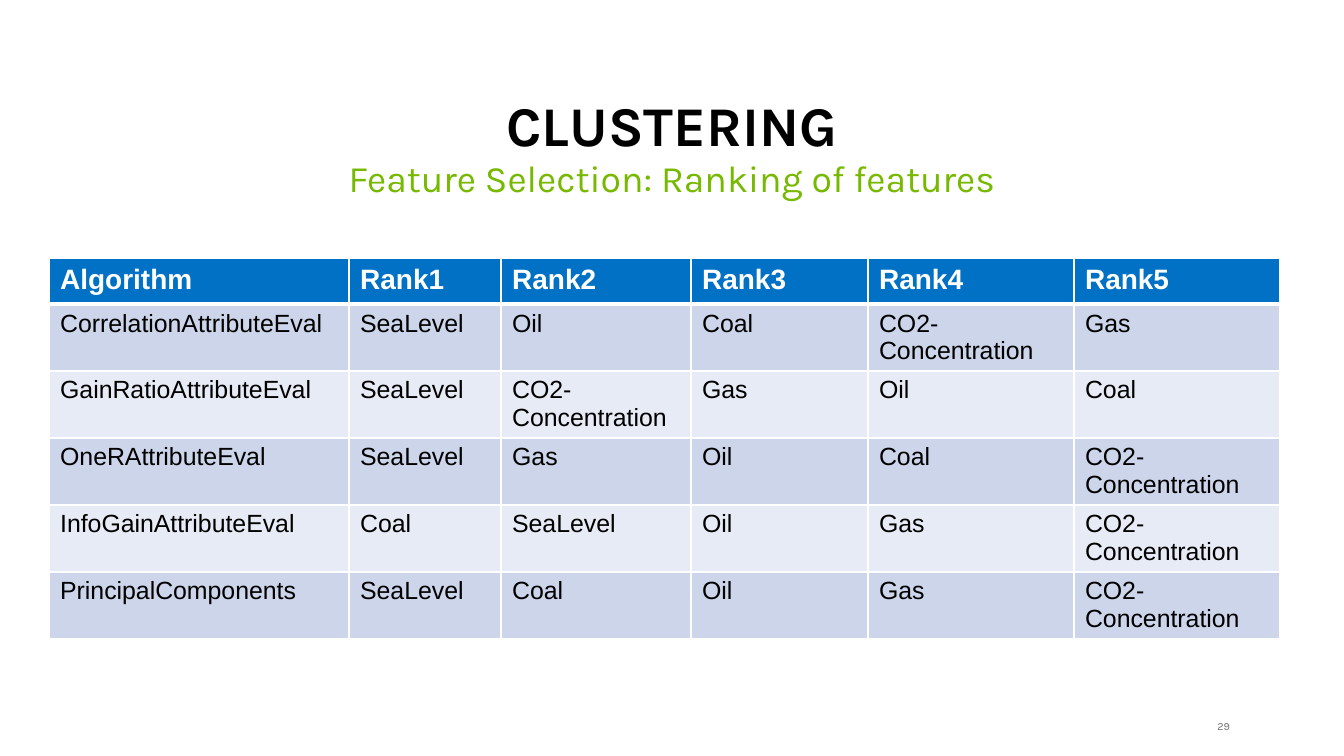
from pptx import Presentation
from pptx.dml.color import RGBColor
from pptx.enum.text import MSO_ANCHOR, MSO_AUTO_SIZE, PP_ALIGN
from pptx.oxml.ns import qn
from pptx.util import Pt
from lxml.etree import SubElement

# Content
TITLE = "CLUSTERING"
SUBTITLE = "Feature Selection: Ranking of features"
PAGE_NUMBER = "29"
CO2 = "CO2-Concentration"
RANKING = [
    ("Algorithm", "Rank1", "Rank2", "Rank3", "Rank4", "Rank5"),
    ("CorrelationAttributeEval", "SeaLevel", "Oil", "Coal", CO2, "Gas"),
    ("GainRatioAttributeEval", "SeaLevel", CO2, "Gas", "Oil", "Coal"),
    ("OneRAttributeEval", "SeaLevel", "Gas", "Oil", "Coal", CO2),
    ("InfoGainAttributeEval", "Coal", "SeaLevel", "Oil", "Gas", CO2),
    ("PrincipalComponents", "SeaLevel", "Coal", "Oil", "Gas", CO2),
]
COLORS = {
    "title": "000000", "subtitle": "76B900", "page": "6E6E6E",
    "header": "0071C5", "header_text": "FFFFFF", "cell_text": "000000",
    "odd": "CCD5EA", "even": "E7EBF5", "border": "FFFFFF",
}

# Layout in px, 112 to the inch
PX = 914400 // 112
SLIDE_SIZE = (1344, 756)
TITLE_BOX = (61, 91, 1222, 73)
SUBTITLE_BOX = (61, 155, 1222, 64)
PAGE_BOX = (1190, 718, 40, 17)
TABLE_LEFT, TABLE_TOP = 49, 258
COLUMN_WIDTHS = [300, 152, 190, 177, 206, 206]
ROW_HEIGHTS = [46] + [67] * (len(RANKING) - 1)


def emu(box):
    return [length * PX for length in box]


def style(paragraph, font_name, size, color, bold=False):
    for run in paragraph.runs:
        run.font.name = font_name
        run.font.size = Pt(size)
        run.font.bold = bold
        run.font.color.rgb = RGBColor.from_string(COLORS[color])


def place_text(shape, box, text, anchor, align):
    shape.left, shape.top, shape.width, shape.height = emu(box)
    frame = shape.text_frame
    frame.text = text
    frame.word_wrap = True
    frame.auto_size = MSO_AUTO_SIZE.NONE
    frame.vertical_anchor = anchor
    paragraph = frame.paragraphs[0]
    paragraph.alignment = align
    return paragraph


def add_borders(cell, bottom_width):
    properties = cell._tc.get_or_add_tcPr()
    for side, width in (("L", 1), ("R", 1), ("T", 1), ("B", bottom_width)):
        line = SubElement(properties, qn(f"a:ln{side}"), w=str(Pt(width)))
        fill = SubElement(line, qn("a:solidFill"))
        SubElement(fill, qn("a:srgbClr"), val=COLORS["border"])


prs = Presentation()
prs.slide_width, prs.slide_height = emu(SLIDE_SIZE)
slide = prs.slides.add_slide(prs.slide_layouts[1])

# Title and subtitle
title = place_text(slide.shapes.title, TITLE_BOX, TITLE, MSO_ANCHOR.BOTTOM, PP_ALIGN.CENTER)
title.line_spacing = 0.9
style(title, "Karla", 36, "title", bold=True)

subtitle = place_text(slide.placeholders[1], SUBTITLE_BOX, SUBTITLE, MSO_ANCHOR.TOP, PP_ALIGN.CENTER)
subtitle.line_spacing = 0.9
subtitle.space_before = Pt(0)
subtitle_properties = subtitle._p.get_or_add_pPr()
subtitle_properties.set("marL", "0")
subtitle_properties.set("indent", "0")
SubElement(subtitle_properties, qn("a:buNone"))
style(subtitle, "Karla", 24, "subtitle")

# Ranking table
table_box = (TABLE_LEFT, TABLE_TOP, sum(COLUMN_WIDTHS), sum(ROW_HEIGHTS))
ranking = slide.shapes.add_table(len(RANKING), len(COLUMN_WIDTHS), *emu(table_box)).table
for column, width in zip(ranking.columns, COLUMN_WIDTHS):
    column.width = width * PX
for r, (row, height, values) in enumerate(zip(ranking.rows, ROW_HEIGHTS, RANKING)):
    row.height = height * PX
    is_header = r == 0
    band = "header" if is_header else "odd" if r % 2 else "even"
    for cell, value in zip(row.cells, values):
        cell.text = value
        add_borders(cell, 3 if is_header else 1)
        cell.fill.solid()
        cell.fill.fore_color.rgb = RGBColor.from_string(COLORS[band])
        style(cell.text_frame.paragraphs[0], "Arial", 18 if is_header else 16,
              "header_text" if is_header else "cell_text", bold=is_header)

# Page number
page_box = slide.shapes.add_textbox(*emu(PAGE_BOX))
page = place_text(page_box, PAGE_BOX, PAGE_NUMBER, MSO_ANCHOR.MIDDLE, PP_ALIGN.RIGHT)
frame = page_box.text_frame
frame.margin_left = frame.margin_right = frame.margin_top = frame.margin_bottom = 0
style(page, "Karla", 7, "page")

prs.save("out.pptx")
